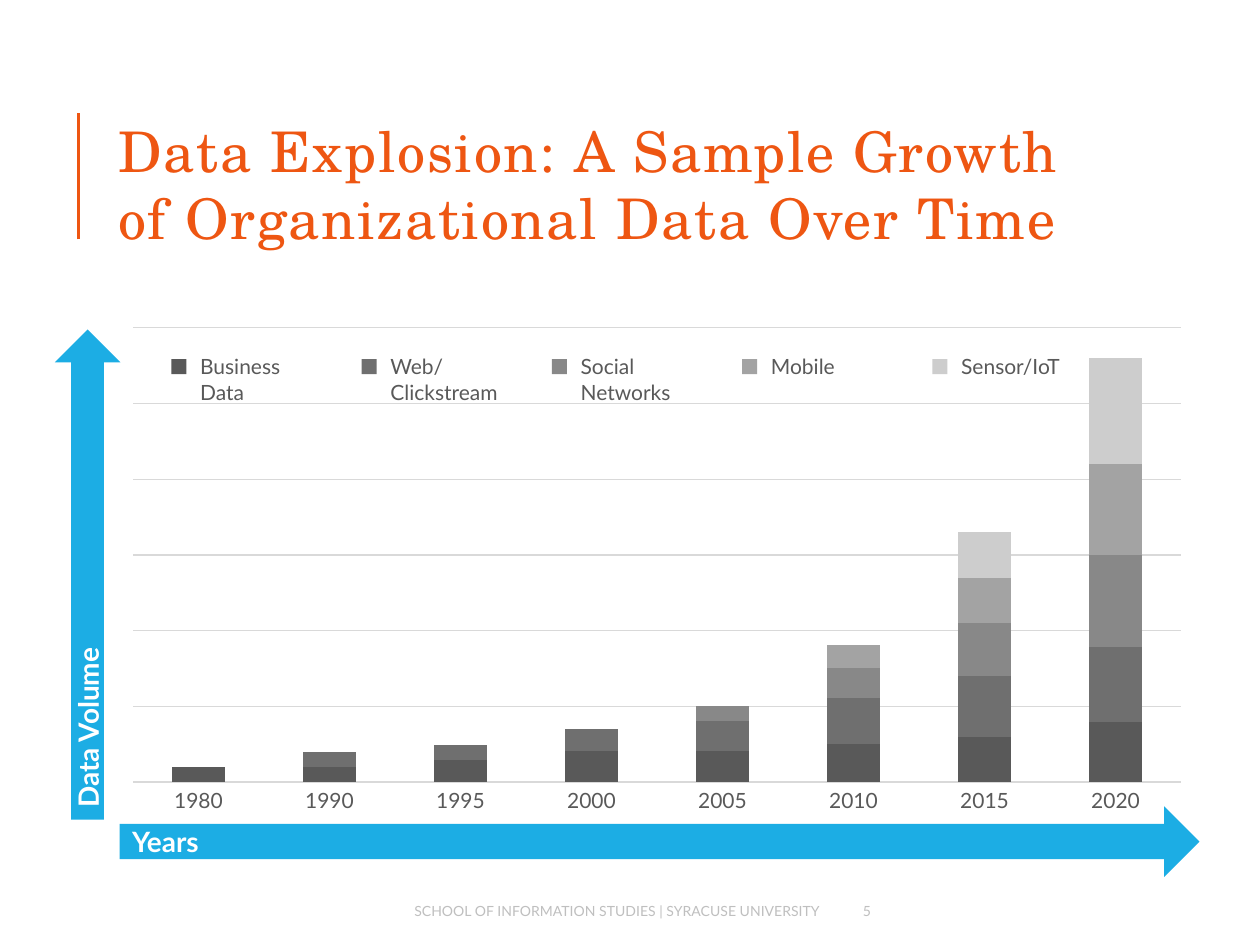
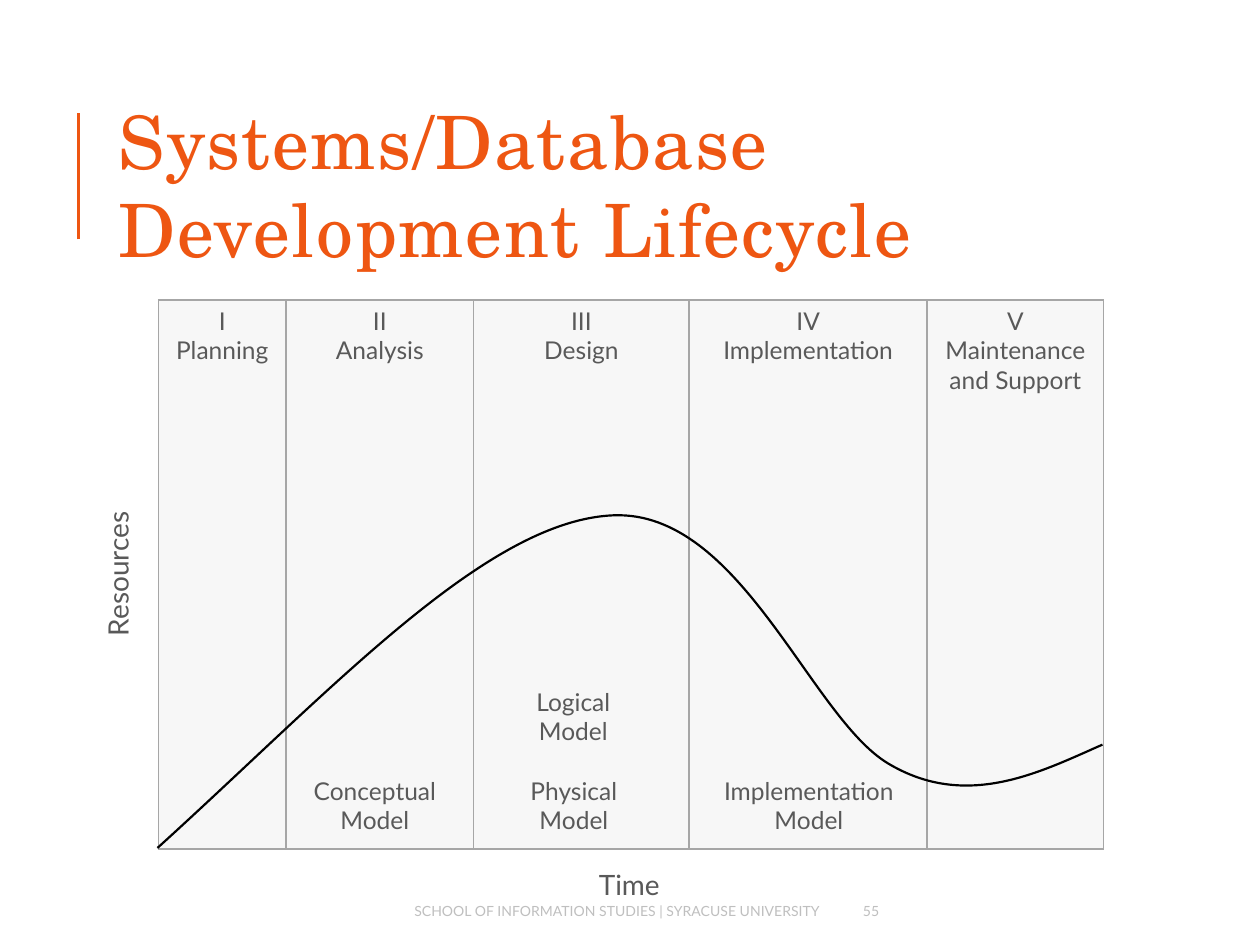
from dataclasses import dataclass
from typing import Any

import pptx
import pptx.chart.data
import pptx.dml.color
import pptx.enum.chart
import pptx.enum.shapes
import pptx.enum.text
import pptx.oxml
import pptx.oxml.ns
import pptx.util
from lxml import etree

ALIGN = pptx.enum.text.PP_ALIGN
ANCHOR = pptx.enum.text.MSO_ANCHOR
PRESET = pptx.enum.shapes.MSO_SHAPE
qn = pptx.oxml.ns.qn

COLUMNS, ROWS = 100, 75
SLIDE_WIDTH, SLIDE_HEIGHT = pptx.util.Inches(10), pptx.util.Inches(7.5)


@dataclass(frozen=True)
class Theme:
    title_font: str = "TeX Gyre Schola"
    body_font: str = "Lato"
    accent: str = "EE5612"
    arrow: str = "1CADE4"
    white: str = "FFFFFF"
    text: str = "595959"
    footer: str = "BFBFBF"
    grid: str = "D9D9D9"
    border: str = "A6A6A6"
    cell: str = "F7F7F7"
    curve: str = "000000"
    footer_size: float = 8
    chart_size: float = 10
    label_size: float = 12
    phase_size: float = 14
    axis_size: float = 16


THEME = Theme()


@dataclass(frozen=True)
class Area:
    """A rectangle in grid columns and rows."""
    left: float
    top: float
    width: float
    height: float

    def lengths(self) -> tuple[int, int, int, int]:
        return column(self.left), row(self.top), column(self.width), row(self.height)


@dataclass(frozen=True)
class Style:
    size: float
    color: str = THEME.text
    font: str = THEME.body_font
    align: Any = ALIGN.LEFT
    anchor: Any = ANCHOR.TOP
    bold: bool = False
    wrap: bool = True


@dataclass(frozen=True)
class Source:
    """One kind of data: a chart series with its legend entry."""
    label: str
    color: str
    volumes: tuple[int, ...]


@dataclass(frozen=True)
class Phase:
    label: str
    width: float


@dataclass(frozen=True)
class Label:
    text: str
    area: Area
    style: Style
    rotation: int = 0


FOOTER = Style(THEME.footer_size, THEME.footer, anchor=ANCHOR.MIDDLE)
FOOTER_RIGHT = Style(THEME.footer_size, THEME.footer, align=ALIGN.RIGHT, anchor=ANCHOR.MIDDLE)
LEGEND = Style(THEME.label_size)
YEAR = Style(THEME.label_size, align=ALIGN.CENTER)
ARROW = Style(THEME.axis_size, THEME.white, anchor=ANCHOR.MIDDLE, bold=True)
PHASE = Style(THEME.phase_size, align=ALIGN.CENTER)
MODEL = Style(THEME.phase_size, align=ALIGN.CENTER, wrap=False)
AXIS = Style(THEME.axis_size, align=ALIGN.CENTER, wrap=False)

YEARS = ("1980", "1990", "1995", "2000", "2005", "2010", "2015", "2020")
SOURCES = (
    Source("Business Data", "595959", (14, 14, 21, 29, 29, 36, 43, 57)),
    Source("Web/Clickstream", "6F6F6F", (0, 14, 14, 21, 29, 43, 57, 71)),
    Source("Social Networks", "888888", (0, 0, 0, 0, 14, 29, 50, 86)),
    Source("Mobile", "A3A3A3", (0, 0, 0, 0, 0, 21, 43, 86)),
    Source("Sensor/IoT", "CDCDCD", (0, 0, 0, 0, 0, 0, 43, 100)),
)
CHART_AREA = Area(9, 24.5, 86.2, 43.3)
PLOT_SHARES = {"x": 0.018, "y": 0.035, "w": 0.965, "h": 0.833}
GRID_STEP, GRID_COUNT = 71.5, 6
LEGEND_LEFT, LEGEND_TOP, LEGEND_PITCH = 13.6, 27.6, 15.1
YEAR_TOP = 62
AXIS_ARROWS = (
    Label("Data Volume", Area(-12.5, 43, 38.9, 5.2), ARROW, 270),
    Label("Years", Area(9.5, 64, 85.7, 5.6), ARROW),
)

PHASES = (
    Phase("I\nPlanning", 10.1),
    Phase("II\nAnalysis", 14.9),
    Phase("III\nDesign", 17.1),
    Phase("IV\nImplementation", 18.9),
    Phase("V\nMaintenance and Support", 14),
)
PHASE_AREA = Area(12.6, 23.8, sum(phase.width for phase in PHASES), 43.6)
MODEL_TOP = 61.1
LIFECYCLE_LABELS = (
    Label("Conceptual\nModel", Area(23.5, MODEL_TOP, 12.5, 5.7), MODEL),
    Label("Logical\nModel", Area(41.4, 54, 8.2, 5.7), MODEL),
    Label("Implementation\nModel", Area(56, MODEL_TOP, 16.4, 5.7), MODEL),
    Label("Physical\nModel", Area(40.9, MODEL_TOP, 9.3, 5.7), MODEL),
    Label("Time", Area(46.3, 68.4, 7.3, 3.7), AXIS),
    Label("Resources", Area(3, 43.7, 12.7, 3.7), AXIS, 270),
)
# Start, then two control points and an end for each bend.
RESOURCE_CURVE = (
    (12.5, 67.3),
    (26.4, 54.7), (38.6, 41.3), (48.7, 40.9),
    (58.8, 40.5), (64.3, 56.9), (70.5, 60.6),
    (76.7, 64.3), (82.5, 61.3), (87.5, 59.1),
)


def column(count: float) -> int:
    return round(SLIDE_WIDTH * count / COLUMNS)


def row(count: float) -> int:
    return round(SLIDE_HEIGHT * count / ROWS)


def rgb(color: str) -> pptx.dml.color.RGBColor:
    return pptx.dml.color.RGBColor.from_string(color)


def paint(target: Any, color: str) -> None:
    target.fill.solid()
    target.fill.fore_color.rgb = rgb(color)


def write(frame: Any, text: str, style: Style) -> Any:
    paragraph = frame.paragraphs[0]
    paragraph.text = text
    paragraph.alignment = style.align
    font = paragraph.font
    font.name, font.size, font.bold = style.font, pptx.util.Pt(style.size), style.bold
    font.color.rgb = rgb(style.color)
    return paragraph


def fill_frame(shape: Any, label: Label) -> Any:
    frame = shape.text_frame
    frame.word_wrap = label.style.wrap
    frame.vertical_anchor = label.style.anchor
    shape.rotation = label.rotation
    return write(frame, label.text, label.style)


def add_label(shapes: Any, label: Label) -> Any:
    return fill_frame(shapes.add_textbox(*label.area.lengths()), label)


def add_preset(shapes: Any, preset: Any, area: Area, color: str) -> Any:
    shape = shapes.add_shape(preset, *area.lengths())
    shape.shadow.inherit = False
    paint(shape, color)
    shape.line.fill.background()
    return shape


def add_base_slide(presentation: Any, title: str, title_size: float, number: int) -> Any:
    """Add a slide with the title, its side rule and the footer."""
    slide = presentation.slides.add_slide(presentation.slide_layouts[6])
    rule = slide.shapes.add_connector(
        pptx.enum.shapes.MSO_CONNECTOR.STRAIGHT, column(6.24), row(19), column(6.24), row(9))
    rule.line.color.rgb = rgb(THEME.accent)
    rule.line.width = pptx.util.Pt(1.5)
    etree.SubElement(rule._element.spPr, qn("a:effectLst"))
    style = Style(title_size, THEME.accent, THEME.title_font, anchor=ANCHOR.MIDDLE)
    paragraph = add_label(slide.shapes, Label(title, Area(8.4, 6.4, 79.7, 16.4), style))
    paragraph.runs[0]._r.get_or_add_rPr().set("spc", "100")
    school = "SCHOOL OF INFORMATION STUDIES | SYRACUSE UNIVERSITY"
    add_label(slide.shapes, Label(school, Area(18.9, 70.8, 47.2, 3), FOOTER_RIGHT))
    add_label(slide.shapes, Label(str(number), Area(67.5, 70.8, 9.1, 3), FOOTER))
    return slide


def set_plot_layout(chart: Any) -> None:
    plot_area = chart._chartSpace.chart.plotArea
    for stale in plot_area.findall(qn("c:layout")):
        plot_area.remove(stale)
    layout = etree.Element(qn("c:layout"))
    manual = etree.SubElement(layout, qn("c:manualLayout"))
    settings = {"layoutTarget": "inner", "xMode": "edge", "yMode": "edge", **PLOT_SHARES}
    for name, value in settings.items():
        etree.SubElement(manual, qn(f"c:{name}")).set("val", str(value))
    plot_area.insert(0, layout)


def add_volume_chart(slide: Any) -> None:
    data = pptx.chart.data.CategoryChartData()
    data.categories = YEARS
    for source in SOURCES:
        data.add_series(source.label, source.volumes)
    chart = slide.shapes.add_chart(
        pptx.enum.chart.XL_CHART_TYPE.COLUMN_STACKED, *CHART_AREA.lengths(), data).chart
    chart.has_title = chart.has_legend = False
    chart.font.name, chart.font.size = THEME.body_font, pptx.util.Pt(THEME.chart_size)
    chart.font.color.rgb = rgb(THEME.text)
    chart.category_axis.visible = False
    axis = chart.value_axis
    axis.visible = False
    axis.minimum_scale, axis.maximum_scale = 0, GRID_STEP * GRID_COUNT
    axis.major_unit = GRID_STEP
    axis.has_major_gridlines = True
    axis.major_gridlines.format.line.color.rgb = rgb(THEME.grid)
    axis.major_gridlines.format.line.width = pptx.util.Pt(0.75)
    plot = chart.plots[0]
    plot.vary_by_categories = False
    plot.gap_width, plot.overlap = 150, 100
    for series, source in zip(plot.series, SOURCES):
        paint(series.format, source.color)
    set_plot_layout(chart)


def add_legend(slide: Any) -> None:
    shapes = slide.shapes.add_group_shape().shapes
    for index, source in enumerate(SOURCES):
        left = LEGEND_LEFT + index * LEGEND_PITCH
        add_preset(shapes, PRESET.RECTANGLE, Area(left, LEGEND_TOP + 0.9, 1.2, 1.2), source.color)
        area = Area(left + 1.3, LEGEND_TOP, 11.5, 3.8)
        add_label(shapes, Label(source.label, area, LEGEND))


def add_years(slide: Any) -> None:
    shapes = slide.shapes.add_group_shape().shapes
    plot_left = CHART_AREA.left + CHART_AREA.width * PLOT_SHARES["x"]
    pitch = CHART_AREA.width * PLOT_SHARES["w"] / len(YEARS)
    for index, year in enumerate(YEARS):
        add_label(shapes, Label(year, Area(plot_left + index * pitch, YEAR_TOP, pitch, 3.8), YEAR))


def add_cell_borders(cell: Any) -> None:
    properties = cell._tc.get_or_add_tcPr()
    for index, side in enumerate(("lnL", "lnR", "lnT", "lnB")):
        line = etree.Element(qn(f"a:{side}"), w=str(pptx.util.Pt(1)))
        fill = etree.SubElement(line, qn("a:solidFill"))
        etree.SubElement(fill, qn("a:srgbClr")).set("val", THEME.border)
        properties.insert(index, line)


def add_phase_table(slide: Any) -> None:
    table = slide.shapes.add_table(1, len(PHASES), *PHASE_AREA.lengths()).table
    table.first_row = table.horz_banding = False
    for index, phase in enumerate(PHASES):
        table.columns[index].width = column(phase.width)
        cell = table.cell(0, index)
        paint(cell, THEME.cell)
        add_cell_borders(cell)
        write(cell.text_frame, phase.label, PHASE)


def add_resource_curve(slide: Any) -> None:
    """Draw the points as segments, then join every three into a Bézier bend."""
    start, *others = [(column(x), row(y)) for x, y in RESOURCE_CURVE]
    builder = slide.shapes.build_freeform(*start)
    builder.add_line_segments(others, close=False)
    curve = builder.convert_to_shape()
    curve.shadow.inherit = False
    curve.fill.background()
    curve.line.color.rgb = rgb(THEME.curve)
    curve.line.width = pptx.util.Pt(1.25)
    segments = list(curve._element.iter(qn("a:lnTo")))
    outline = segments[0].getparent()
    for first in range(0, len(segments), 3):
        bend = etree.SubElement(outline, qn("a:cubicBezTo"))
        for segment in segments[first:first + 3]:
            bend.append(segment[0])
            outline.remove(segment)


def build_growth_slide(presentation: Any) -> None:
    title = "Data Explosion: A Sample Growth of Organizational Data Over Time"
    slide = add_base_slide(presentation, title, 32, 5)
    add_volume_chart(slide)
    for arrow in AXIS_ARROWS:
        fill_frame(add_preset(slide.shapes, PRESET.RIGHT_ARROW, arrow.area, THEME.arrow), arrow)
    add_legend(slide)
    add_years(slide)


def build_lifecycle_slide(presentation: Any) -> None:
    slide = add_base_slide(presentation, "Systems/Database Development Lifecycle", 42, 55)
    add_phase_table(slide)
    add_resource_curve(slide)
    for label in LIFECYCLE_LABELS:
        add_label(slide.shapes, label)


def main() -> None:
    presentation = pptx.Presentation()
    presentation.slide_width, presentation.slide_height = SLIDE_WIDTH, SLIDE_HEIGHT
    build_growth_slide(presentation)
    build_lifecycle_slide(presentation)
    presentation.save("out.pptx")


if __name__ == "__main__":
    main()
